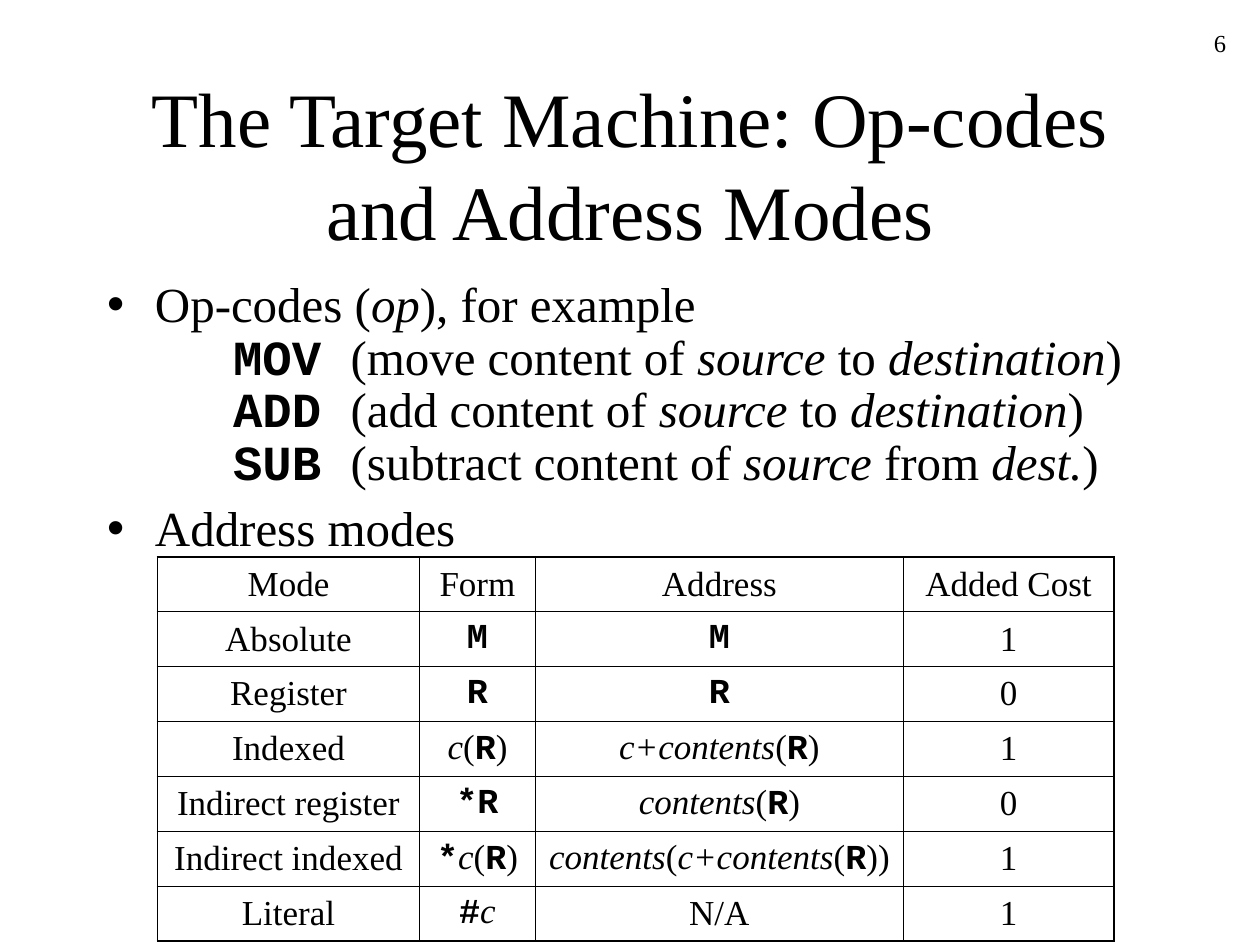
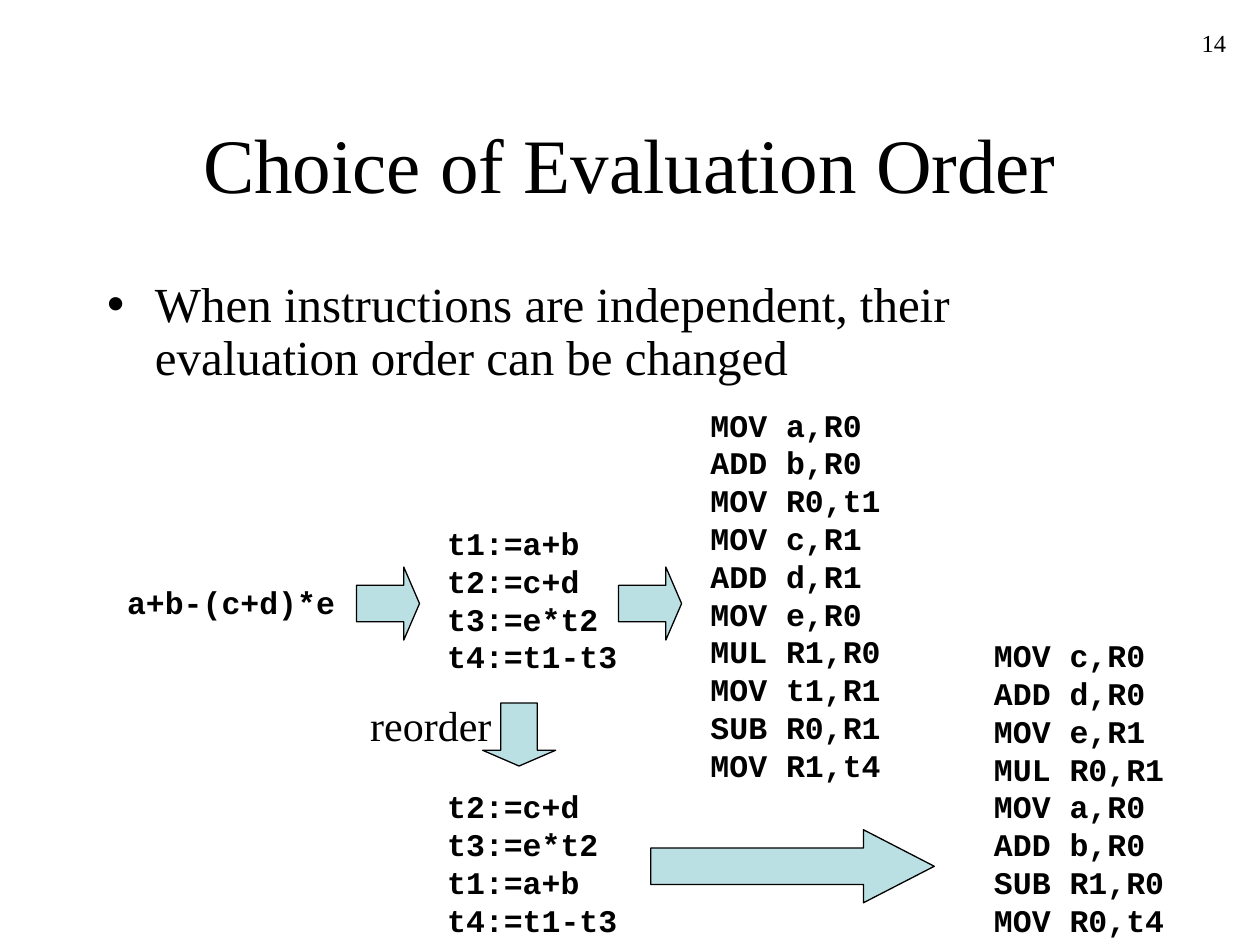
from lxml import etree
from pptx import Presentation
from pptx.dml.color import RGBColor
from pptx.enum.shapes import MSO_SHAPE
from pptx.enum.text import MSO_ANCHOR, MSO_AUTO_SIZE, PP_ALIGN
from pptx.oxml.ns import qn
from pptx.util import Inches, Pt

ARROW = MSO_SHAPE.DOWN_ARROW
MIDDLE, TOP = MSO_ANCHOR.MIDDLE, MSO_ANCHOR.TOP
FIXED, GROW = MSO_AUTO_SIZE.NONE, MSO_AUTO_SIZE.SHAPE_TO_FIT_TEXT
LEFT, CENTER, RIGHT = PP_ALIGN.LEFT, PP_ALIGN.CENTER, PP_ALIGN.RIGHT

BLACK, TEAL = "000000", "BBE0E3"
PLAIN = {"name": "Times New Roman", "bold": False, "italic": False}
ITALIC = {**PLAIN, "italic": True}
CODE = {"name": "Courier New", "bold": True, "italic": False}

OPS = """Op-codes (_op_), for example
\t`MOV `(move content of _source_ to _destination_)
\t`ADD `(add content of _source_ to _destination_)
\t`SUB `(subtract content of _source_ from _dest._)"""

MODES = [
    ("Mode", "Form", "Address", "Added Cost"),
    ("Absolute", "`M`", "`M`", "1"),
    ("Register", "`R`", "`R`", "0"),
    ("Indexed", "_c_(`R`)", "_c+contents_(`R`)", "1"),
    ("Indirect register", "`*R`", "_contents_(`R`)", "0"),
    ("Indirect indexed", "`*`_c_(`R`)", "_contents_(_c+contents_(`R`))", "1"),
    ("Literal", "`#`_c_", "N/A", "1"),
]

SUMS = ["t1:=a+b", "t2:=c+d", "t3:=e*t2", "t4:=t1-t3"]
FIRST = ["MOV a,R0", "ADD b,R0", "MOV R0,t1", "MOV c,R1", "ADD d,R1",
         "MOV e,R0", "MUL R1,R0", "MOV t1,R1", "SUB R0,R1", "MOV R1,t4"]
SECOND = ["MOV c,R0", "ADD d,R0", "MOV e,R1", "MUL R0,R1",
          "MOV a,R0", "ADD b,R0", "SUB R1,R0", "MOV R0,t4"]


def assign(item, values):
    for key, value in values.items():
        setattr(item, key, value)


def paint(color, shade):
    color.rgb = RGBColor.from_string(shade)


def pieces(text):
    for i, part in enumerate(text.split("`")):
        if i % 2:
            yield part, CODE
        else:
            for j, bit in enumerate(part.split("_")):
                yield bit, ITALIC if j % 2 else PLAIN


class Deck:
    def __init__(self):
        self.prs = Presentation()
        assign(self.prs, {"slide_width": Inches(10), "slide_height": Inches(7.5)})
        self.slide = None

    def page(self, title, points, number):
        self.slide = self.prs.slides.add_slide(self.prs.slide_layouts[1])
        self.title(title)
        self.bullets(points)
        self.label(str(number), (7.75, 0.17, 2.08, 0.5), 14, RIGHT)

    def place(self, shape, box):
        names = ("left", "top", "width", "height")
        assign(shape, dict(zip(names, map(Inches, box))))

    def letter(self, para, text, size, **values):
        assign(para, values)
        for bit, style in pieces(text):
            for i, line in enumerate(bit.split("\n")):
                if i:
                    para.add_line_break()
                if line:
                    run = para.add_run()
                    run.text = line
                    assign(run.font, {**style, "size": Pt(size)})
                    paint(run.font.color, BLACK)

    def title(self, text):
        shape = self.slide.shapes.title
        self.place(shape, (0.75, 0.67, 8.5, 1.25))
        frame = shape.text_frame
        assign(frame, {"vertical_anchor": MIDDLE, "auto_size": FIXED})
        self.letter(frame.paragraphs[0], text, 44, alignment=CENTER)

    def bullets(self, points):
        shape = self.slide.placeholders[1]
        self.place(shape, (0.75, 2.17, 8.5, 4.5))
        frame = shape.text_frame
        assign(frame, {"vertical_anchor": TOP, "auto_size": FIXED})
        for i, text in enumerate(points):
            para = frame.add_paragraph() if i else frame.paragraphs[0]
            self.letter(para, text, 28, line_spacing=0.9, space_before=Pt(7))
            self.indent(para)

    def indent(self, para):
        props = para._p.get_or_add_pPr()
        props.set("marL", str(Inches(0.38)))
        props.set("indent", str(Inches(-0.38)))
        color = etree.SubElement(props, qn("a:buClr"))
        etree.SubElement(color, qn("a:srgbClr"), val=BLACK)
        etree.SubElement(props, qn("a:buChar"), char="•")
        tabs = etree.SubElement(props, qn("a:tabLst"))
        for stop in range(1, 9):
            etree.SubElement(tabs, qn("a:tab"), pos=str(Inches(stop)), algn="l")

    def label(self, text, box, size, align=LEFT):
        frame = self.slide.shapes.add_textbox(*map(Inches, box)).text_frame
        fixed = align == RIGHT
        assign(frame, {"word_wrap": fixed, "auto_size": FIXED if fixed else GROW})
        self.letter(frame.paragraphs[0], text, size, alignment=align)

    def code(self, lines, left, top, width=1.55):
        box = (left, top, width, 0.1 + 0.3 * len(lines))
        self.label("`" + "\n".join(lines) + "`", box, 18)

    def arrow(self, left, top, length=0.5, turn=270, head=0.25):
        box = map(Inches, (left, top, 0.58, length))
        shape = self.slide.shapes.add_shape(ARROW, *box)
        shape.rotation = turn
        shape.adjustments[1] = head
        shape.shadow.inherit = False
        shape.fill.solid()
        paint(shape.fill.fore_color, TEAL)
        paint(shape.line.color, BLACK)
        shape.line.width = Pt(0.75)

    def table(self, rows, widths, left, top, height):
        box = map(Inches, (left, top, sum(widths), height))
        grid = self.slide.shapes.add_table(len(rows), len(widths), *box).table
        assign(grid, {"first_row": False, "horz_banding": False})
        for col, width in zip(grid.columns, widths):
            col.width = Inches(width)
        for r, row in enumerate(rows):
            for c, text in enumerate(row):
                cell = grid.cell(r, c)
                cell.vertical_anchor = MIDDLE
                cell.fill.background()
                self.letter(cell.text_frame.paragraphs[0], text, 20,
                            alignment=CENTER, space_before=Pt(5))
                outer = {"L": c == 0, "R": c == len(row) - 1,
                         "T": r == 0, "B": r == len(rows) - 1}
                self.border(cell, outer)

    def border(self, cell, outer):
        props = cell._tc.get_or_add_tcPr()
        for i, (side, edge) in enumerate(outer.items()):
            line = etree.Element(qn("a:ln" + side), w=str(Pt(1.08 if edge else 0.45)))
            fill = etree.SubElement(line, qn("a:solidFill"))
            etree.SubElement(fill, qn("a:srgbClr"), val=BLACK)
            props.insert(i, line)


def main():
    deck = Deck()

    deck.page("The Target Machine: Op-codes and Address Modes",
              [OPS, "Address modes"], 6)
    deck.table(MODES, (2.08, 0.92, 2.92, 1.67), 1.25, 4.42, 3.05)

    deck.page("Choice of Evaluation Order",
              ["When instructions are independent, their evaluation order can be changed"], 14)
    deck.code(["a+b-(c+d)*e"], 0.91, 4.58, 1.85)
    deck.code(SUMS, 3.45, 4.11)
    deck.code(FIRST, 5.54, 3.17)
    deck.code([SUMS[i] for i in (1, 2, 0, 3)], 3.45, 6.2)
    deck.code(SECOND, 7.79, 5)
    for left in (2.79, 4.87):
        deck.arrow(left, 4.54)
    deck.arrow(3.83, 5.58, turn=0)
    deck.arrow(6, 5.75, length=2.25, head=0.97)
    deck.label("reorder", (2.84, 5.5, 1.16, 0.5), 24)

    deck.prs.save("out.pptx")


if __name__ == "__main__":
    main()
